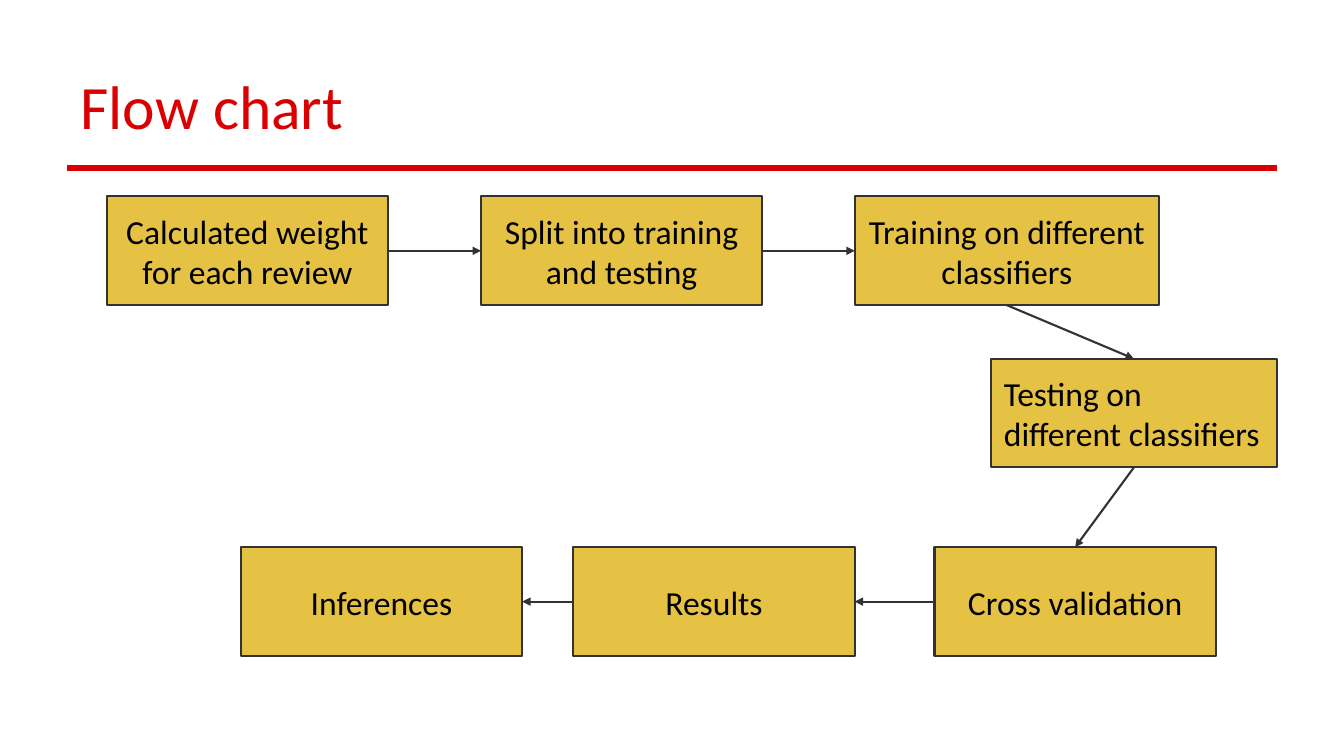
from lxml import etree
from pptx import Presentation
from pptx.dml.color import RGBColor
from pptx.enum.shapes import MSO_CONNECTOR, MSO_SHAPE
from pptx.enum.text import MSO_ANCHOR, PP_ALIGN
from pptx.oxml.ns import qn
from pptx.util import Cm, Pt

RED = RGBColor(0xDA, 0x00, 0x02)
GOLD = RGBColor(0xE5, 0xC2, 0x43)
DARK = RGBColor(0x32, 0x32, 0x32)
BLACK = RGBColor(0x00, 0x00, 0x00)
LEFT, CENTER = PP_ALIGN.LEFT, PP_ALIGN.CENTER
MIDDLE, BOTTOM = MSO_ANCHOR.MIDDLE, MSO_ANCHOR.BOTTOM
STRAIGHT = MSO_CONNECTOR.STRAIGHT
RECTANGLE = MSO_SHAPE.RECTANGLE
TOP_SITE, LEFT_SITE, BOTTOM_SITE, RIGHT_SITE = range(4)

TITLE = "Flow chart"
MARGIN, CONTENT_WIDTH = 1.7, 30.48
TOP_ROW, MIDDLE_ROW, BOTTOM_ROW = 4.95, 9.04, 13.79
STEP_WIDTH, STEP_HEIGHT = 7.09, 2.74

STEPS = [
    ("Calculated weight for each review", 2.69, TOP_ROW, STEP_WIDTH, CENTER),
    ("Split into training and testing", 12.12, TOP_ROW, STEP_WIDTH, CENTER),
    ("Training on different classifiers", 21.54, TOP_ROW, 7.67, CENTER),
    ("Testing on different classifiers", 24.97, MIDDLE_ROW, 7.21, LEFT),
    ("Cross validation", 23.55, BOTTOM_ROW, STEP_WIDTH, CENTER),
    ("Results", 14.45, BOTTOM_ROW, STEP_WIDTH, CENTER),
    ("Inferences", 6.07, BOTTOM_ROW, STEP_WIDTH, CENTER),
]
RIGHTWARD = (RIGHT_SITE, LEFT_SITE)
DOWNWARD = (BOTTOM_SITE, TOP_SITE)
LEFTWARD = (LEFT_SITE, RIGHT_SITE)
ARROWS = [RIGHTWARD, RIGHTWARD, DOWNWARD, DOWNWARD, LEFTWARD, LEFTWARD]


def write_text(box, text, size=24, color=BLACK, align=CENTER, anchor=MIDDLE, spacing=None):
    frame = box.text_frame
    frame.word_wrap = True
    frame.vertical_anchor = anchor
    frame.margin_left = frame.margin_right = Cm(0.33)
    frame.margin_top = frame.margin_bottom = Cm(0.33)
    para = frame.paragraphs[0]
    para.alignment = align
    para.line_spacing = spacing
    span = para.add_run()
    span.text = text
    span.font.name = "Calibri"
    span.font.size = Pt(size)
    span.font.color.rgb = color


def add_line(page, start_x, start_y, end_x, end_y, color, width):
    line = page.shapes.add_connector(STRAIGHT, start_x, start_y, end_x, end_y)
    line.line.color.rgb = color
    line.line.width = Pt(width)
    etree.SubElement(line._element.spPr, qn("a:effectLst"))
    return line


def add_step(page, text, left, top, width, align):
    box = page.shapes.add_shape(RECTANGLE, Cm(left), Cm(top), Cm(width), Cm(STEP_HEIGHT))
    box.shadow.inherit = False
    box.fill.solid()
    box.fill.fore_color.rgb = GOLD
    box.line.color.rgb = DARK
    box.line.width = Pt(1.5)
    write_text(box, text, align=align)
    return box


def add_arrow(page, source, target, sites):
    arrow = add_line(page, 0, 0, 0, 0, DARK, 1.5)
    arrow.begin_connect(source, sites[0])
    arrow.end_connect(target, sites[1])
    etree.SubElement(arrow.line._get_or_add_ln(), qn("a:tailEnd"), type="triangle")


deck = Presentation()
deck.slide_width, deck.slide_height = Cm(33.87), Cm(19.05)
page = deck.slides.add_slide(deck.slide_layouts[6])

add_line(page, Cm(MARGIN), Cm(4.24), Cm(MARGIN + CONTENT_WIDTH), Cm(4.24), RED, 4)
title = page.shapes.add_textbox(Cm(MARGIN), Cm(0.76), Cm(CONTENT_WIDTH), Cm(3.18))
write_text(title, TITLE, size=44, color=RED, align=LEFT, anchor=BOTTOM, spacing=0.9)

boxes = [add_step(page, *step) for step in STEPS]
for source, target, sites in zip(boxes, boxes[1:], ARROWS):
    add_arrow(page, source, target, sites)

deck.save("out.pptx")
